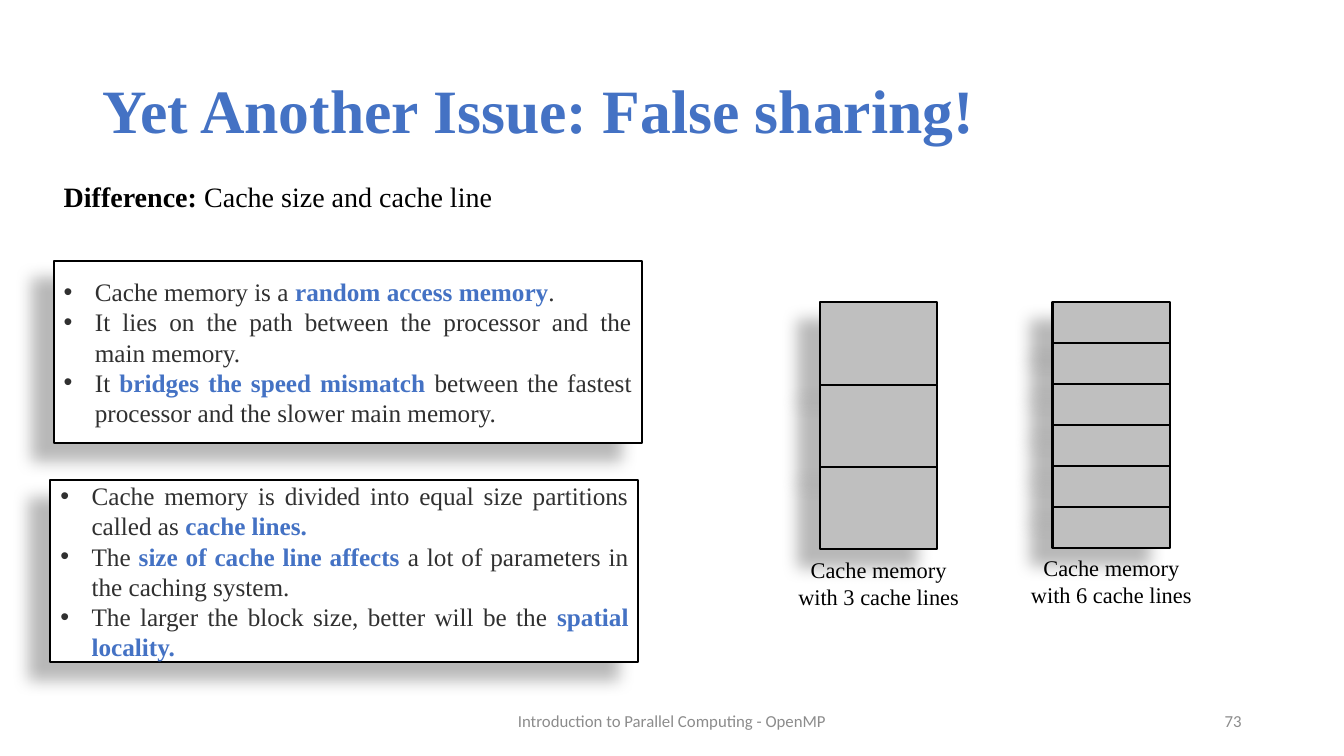
from lxml.etree import SubElement
from pptx import Presentation
from pptx.dml.color import RGBColor
from pptx.enum.shapes import MSO_SHAPE
from pptx.enum.text import MSO_ANCHOR, MSO_AUTO_SIZE, PP_ALIGN
from pptx.oxml.ns import qn
from pptx.util import Inches, Pt

COLORS = {
    "accent": "4472C4",
    "body": "303030",
    "black": "000000",
    "white": "FFFFFF",
    "cache": "BFBFBF",
    "footer": "8C8C8C",
}
SERIF, SANS = "Times New Roman", "Calibri"
COLUMNS, ROWS = 160, 90

MEMORY_POINTS = [
    "Cache memory is a *random access memory*.",
    "It lies on the path between the processor and the main memory.",
    "It *bridges the speed mismatch *between the fastest processor and the slower main memory.",
]
LINE_POINTS = [
    "Cache memory is divided into equal size partitions called as *cache lines.*",
    "The *size of cache line affects *a lot of parameters in the caching system.",
    "The larger the block size, better will be the *spatial locality.*",
]


class SlideBuilder:
    def __init__(self, deck):
        self.deck = deck
        self.page = deck.slides.add_slide(deck.slide_layouts[5])

    def place(self, left, top, width, height):
        column = self.deck.slide_width / COLUMNS
        row = self.deck.slide_height / ROWS
        return round(left * column), round(top * row), round(width * column), round(height * row)

    def color(self, name):
        return RGBColor.from_string(COLORS[name])

    def style(self, para, size, color, font=SERIF, align=PP_ALIGN.LEFT):
        para.alignment = align
        para.font.size = Pt(size)
        para.font.name = font
        para.font.color.rgb = self.color(color)

    def spans(self, para, text, emphasis=None):
        for index, piece in enumerate(text.split("*")):
            if piece:
                span = para.add_run()
                span.text = piece
                if index % 2:
                    span.font.bold = True
                    if emphasis:
                        span.font.color.rgb = self.color(emphasis)

    def title(self, text, area):
        title = self.page.shapes.title
        title.left, title.top, title.width, title.height = self.place(*area)
        frame = title.text_frame
        frame.text = text
        frame.auto_size = MSO_AUTO_SIZE.NONE
        frame.vertical_anchor = MSO_ANCHOR.MIDDLE
        para = frame.paragraphs[0]
        para.line_spacing = 0.9
        self.style(para, 44, "accent")
        para.font.bold = True

    def label(self, lines, area, size, align=PP_ALIGN.LEFT, parent=None):
        box = (parent or self.page).shapes.add_textbox(*self.place(*area))
        frame = box.text_frame
        frame.word_wrap = False
        frame.auto_size = MSO_AUTO_SIZE.SHAPE_TO_FIT_TEXT
        for index, line in enumerate(lines):
            para = frame.add_paragraph() if index else frame.paragraphs[0]
            self.spans(para, line)
            self.style(para, size, "black", align=align)

    def footer(self, text, area, align):
        frame = self.page.shapes.add_textbox(*self.place(*area)).text_frame
        frame.word_wrap = True
        frame.vertical_anchor = MSO_ANCHOR.MIDDLE
        frame.text = text
        self.style(frame.paragraphs[0], 12, "footer", SANS, align)

    def panel(self, area, fill, parent=None):
        shape = (parent or self.page).shapes.add_shape(MSO_SHAPE.RECTANGLE, *self.place(*area))
        shape.fill.solid()
        shape.fill.fore_color.rgb = self.color(fill)
        shape.line.color.rgb = self.color("black")
        shape.line.width = Pt(1.5)
        shape.shadow.inherit = False
        effects = shape.element.spPr.find(qn("a:effectLst"))
        shadow = SubElement(
            effects, qn("a:outerShdw"), blurRad=str(Pt(11.8)), dist=str(Pt(19.7)),
            dir=str(141 * 60000), algn="tr", rotWithShape="0",
        )
        tint = SubElement(shadow, qn("a:srgbClr"), val=COLORS["black"])
        SubElement(tint, qn("a:alpha"), val="28000")
        return shape

    def bullets(self, points, area):
        frame = self.panel(area, "white").text_frame
        frame.word_wrap = True
        frame.vertical_anchor = MSO_ANCHOR.MIDDLE
        for index, point in enumerate(points):
            para = frame.add_paragraph() if index else frame.paragraphs[0]
            properties = para._p.get_or_add_pPr()
            properties.set("marL", str(Inches(0.31)))
            properties.set("indent", str(-Inches(0.31)))
            SubElement(properties, qn("a:buFont"), typeface="Arial")
            SubElement(properties, qn("a:buChar"), char="•")
            self.spans(para, point, "accent")
            self.style(para, 18, "body", align=PP_ALIGN.JUSTIFY)

    def cache(self, count, left, height):
        top, width = 36, 14
        group = self.page.shapes.add_group_shape()
        step = height / count
        for index in range(count):
            self.panel((left, top + index * step, width, step), "cache", group)
        caption = ["Cache memory", f"with {count} cache lines"]
        area = (left - 3.9, top + height + 0.2, width + 7.8, 7.7)
        self.label(caption, area, 16, PP_ALIGN.CENTER, group)


def main():
    deck = Presentation()
    deck.slide_width, deck.slide_height = Inches(13.33), Inches(7.5)
    slide = SlideBuilder(deck)
    slide.title("Yet Another Issue: False sharing!", (11, 4.8, 138, 17.4))
    slide.footer("Introduction to Parallel Computing - OpenMP", (53, 83.4, 54, 4.8), PP_ALIGN.CENTER)
    slide.footer("73", (113, 83.4, 36, 4.8), PP_ALIGN.RIGHT)
    slide.label(["*Difference: *Cache size and cache line"], (6.4, 20.8, 53.8, 5.3), 20)
    slide.bullets(MEMORY_POINTS, (6.4, 31.1, 70, 21.6))
    slide.bullets(LINE_POINTS, (6, 57.2, 70, 21.6))
    slide.cache(3, 97.6, 29.4)
    slide.cache(6, 125.3, 29.2)
    deck.save("out.pptx")


if __name__ == "__main__":
    main()
